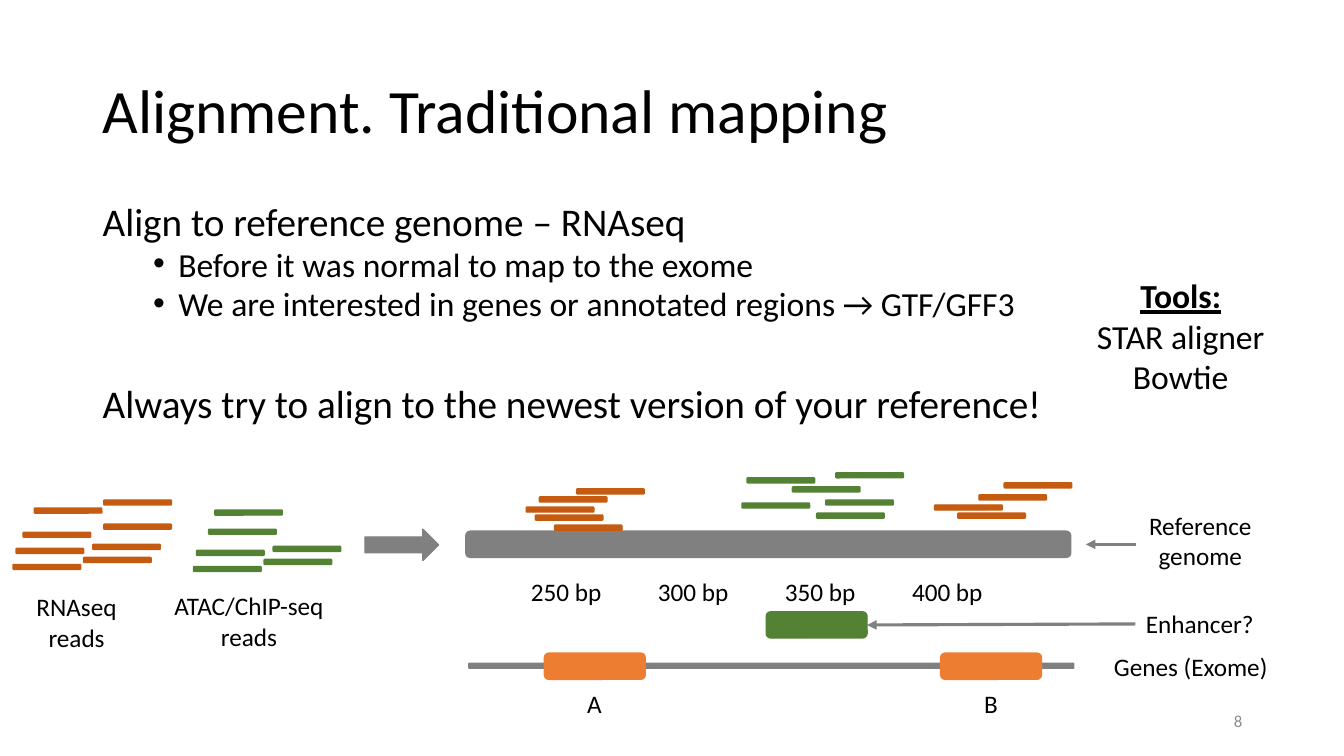
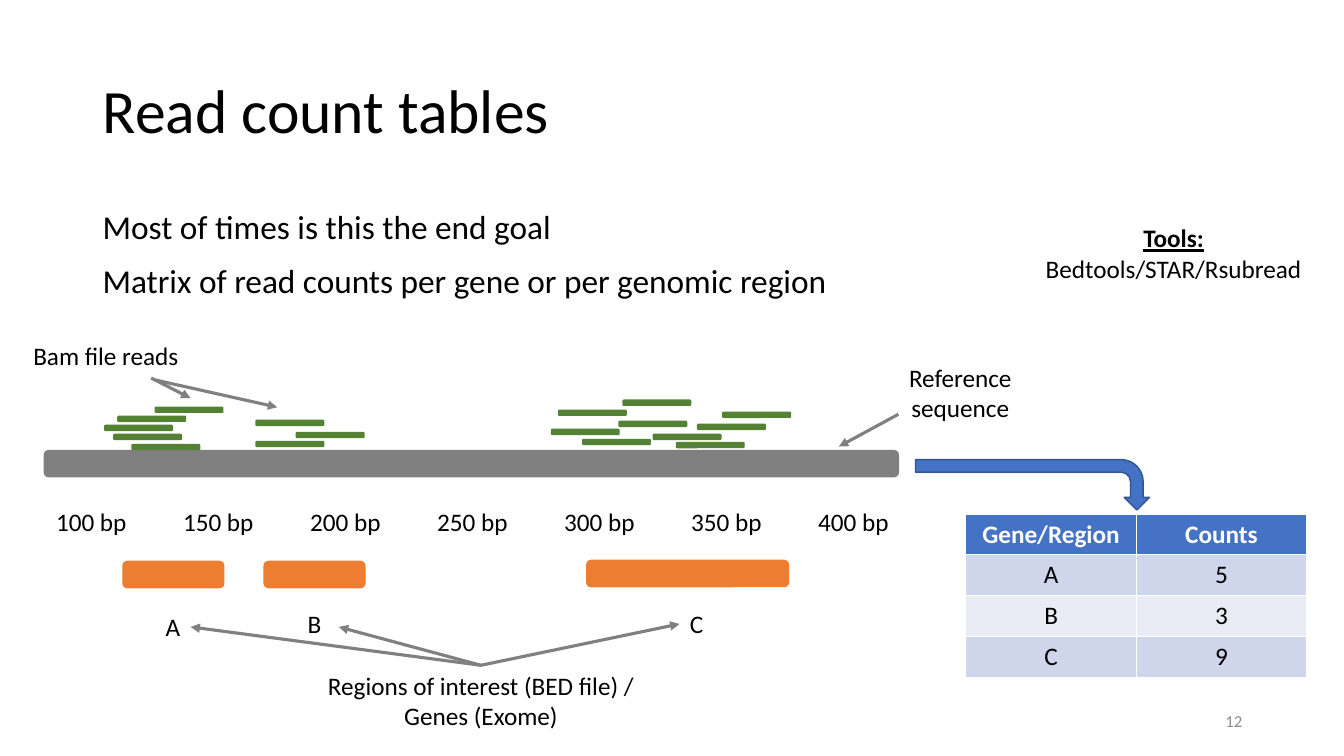
from lxml import etree
from pptx import Presentation
from pptx.dml.color import RGBColor
from pptx.enum.shapes import MSO_CONNECTOR, MSO_SHAPE
from pptx.enum.text import MSO_ANCHOR, MSO_AUTO_SIZE, PP_ALIGN
from pptx.oxml.ns import qn
from pptx.util import Inches, Pt

BLACK = RGBColor(0x00, 0x00, 0x00)
WHITE = RGBColor(0xFF, 0xFF, 0xFF)
GRAY = RGBColor(0x80, 0x80, 0x80)
PAGE_GRAY = RGBColor(0x8C, 0x8C, 0x8C)
RUST = RGBColor(0xC5, 0x5A, 0x11)
GREEN = RGBColor(0x54, 0x82, 0x35)
ORANGE = RGBColor(0xED, 0x7D, 0x31)
BLUE = RGBColor(0x44, 0x72, 0xC4)
DARK_BLUE = RGBColor(0x32, 0x54, 0x91)
BAND_DARK = RGBColor(0xCF, 0xD5, 0xEA)
BAND_LIGHT = RGBColor(0xE9, 0xEB, 0xF5)

FONT = "Calibri"
READ_WIDTH, READ_HEIGHT = 0.67, 0.05
BLOCK_HEIGHT = 0.26
TICK_STEP = 1.26
LABEL_HEIGHT, TWO_LINE_HEIGHT = 0.4, 0.71
TOP, LEFT, BOTTOM, RIGHT = range(4)


def add_text(page, area, text, size=18, color=BLACK, align=PP_ALIGN.CENTER,
             anchor=MSO_ANCHOR.TOP, wrap=False):
    """Add a text box; each line of the text becomes a paragraph."""
    box = page.shapes.add_textbox(*map(Inches, area))
    frame = box.text_frame
    frame.text = text
    frame.word_wrap = wrap
    frame.auto_size = MSO_AUTO_SIZE.NONE if wrap else MSO_AUTO_SIZE.SHAPE_TO_FIT_TEXT
    frame.vertical_anchor = anchor
    for para in frame.paragraphs:
        para.alignment = align
        for span in para.runs:
            span.font.name = FONT
            span.font.size = Pt(size)
            span.font.color.rgb = color
    return box


def add_block(page, area, fill, line=None, kind=MSO_SHAPE.ROUNDED_RECTANGLE):
    block = page.shapes.add_shape(kind, *map(Inches, area))
    block.shadow.inherit = False
    block.fill.solid()
    block.fill.fore_color.rgb = fill
    block.line.color.rgb = line or fill
    block.line.width = Pt(1)
    return block


deck = Presentation()
deck.slide_width, deck.slide_height = Inches(13.33), Inches(7.5)

# Shared frame: title and page number
pages = []
for title, number in (("Alignment. Traditional mapping", "8"), ("Read count tables", "12")):
    page = deck.slides.add_slide(deck.slide_layouts[6])
    heading = add_text(page, (0.92, 0.4, 11.5, 1.45), title, 44, align=PP_ALIGN.LEFT,
                       anchor=MSO_ANCHOR.MIDDLE, wrap=True)
    heading.text_frame.paragraphs[0].line_spacing = 0.9
    add_text(page, (9.42, 6.95, 3, 0.4), number, 12, PAGE_GRAY, PP_ALIGN.RIGHT,
             MSO_ANCHOR.MIDDLE, wrap=True)
    pages.append(page)
mapping, counting = pages

# Body text of the mapping slide
body = add_text(mapping, (0.92, 2, 11.5, 2.45),
                "Align to reference genome – RNAseq\n"
                "Before it was normal to map to the exome\n"
                "We are interested in genes or annotated regions → GTF/GFF3\n"
                "Always try to align to the newest version of your reference!",
                28, align=PP_ALIGN.LEFT, wrap=True)
paragraphs = body.text_frame.paragraphs
for para in paragraphs[1:3]:
    properties = para._p.get_or_add_pPr()
    properties.set("marL", str(Inches(0.75)))
    properties.set("indent", str(Inches(-0.25)))
    etree.SubElement(properties, qn("a:buFont")).set("typeface", "Arial")
    etree.SubElement(properties, qn("a:buChar")).set("char", "•")
    para.space_before = Pt(5)
    para.runs[0].font.size = Pt(24)
for para in paragraphs:
    para.line_spacing = 0.8
paragraphs[3].space_before = Pt(47)

# Body text of the counting slide
body = add_text(counting, (0.92, 2, 11.5, 1.05),
                "Most of times is this the end goal\n"
                "Matrix of read counts per gene or per genomic region",
                23.8, align=PP_ALIGN.LEFT, wrap=True)
body.text_frame.paragraphs[1].space_before = Pt(10)

# Tool lists
for page, area, size, text in (
    (mapping, (10.77, 2.68, 1.88, 1.31), 24, "Tools:\nSTAR aligner\nBowtie"),
    (counting, (10.26, 2.16, 2.76, 0.71), 18, "Tools:\nBedtools/STAR/Rsubread"),
):
    tools = add_text(page, area, text, size)
    tools_font = tools.text_frame.paragraphs[0].runs[0].font
    tools_font.bold = tools_font.underline = True

# Reference, gene and region bars
add_block(mapping, (4.65, 6.58, 6, 0.05), GRAY)
add_block(mapping, (4.62, 5.27, 6, BLOCK_HEIGHT), GRAY)
add_block(counting, (0.44, 4.47, 8.47, BLOCK_HEIGHT), GRAY)
for page, left, top, width in (
    (mapping, 5.4, 6.48, 1), (mapping, 9.33, 6.48, 1),
    (counting, 1.22, 5.57, 1), (counting, 2.62, 5.57, 1), (counting, 5.82, 5.56, 2),
):
    add_block(page, (left, top, width, BLOCK_HEIGHT), ORANGE)
enhancer = add_block(mapping, (7.6, 6.07, 1, BLOCK_HEIGHT), GREEN)

# Reads, as left and top of each
unaligned_rna = ((0.83, 5.53), (0.16, 5.44), (0.13, 5.6), (1.03, 4.96),
                 (0.92, 5.4), (0.23, 5.28), (1.03, 5.2), (0.34, 5.04))
unaligned_atac = ((2.62, 5.55), (1.95, 5.46), (1.92, 5.62),
                  (2.07, 5.25), (2.71, 5.42), (2.13, 5.06))
aligned_rna = ((5.22, 5.03), (5.35, 4.93), (5.31, 5.11), (5.5, 5.21), (5.72, 4.85),
               (9.27, 5.01), (9.96, 4.79), (9.71, 4.91), (9.5, 5.09))
aligned_atac = ((8.1, 5.09), (7.36, 4.99), (7.41, 4.74),
                (7.86, 4.83), (8.19, 4.96), (8.29, 4.69))
counted = ((1.04, 4.22), (1.17, 4.13), (1.13, 4.31), (1.31, 4.41), (1.54, 4.04),
           (2.54, 4.38), (2.94, 4.29), (2.54, 4.17),
           (5.78, 4.36), (6.48, 4.31), (6.18, 3.97), (5.54, 4.07), (7.17, 4.09),
           (5.47, 4.26), (6.14, 4.18), (6.92, 4.21), (6.71, 4.39))
for page, color, reads in (
    (mapping, RUST, unaligned_rna + aligned_rna),
    (mapping, GREEN, unaligned_atac + aligned_atac),
    (counting, GREEN, counted),
):
    for left, top in reads:
        add_block(page, (left, top, READ_WIDTH, READ_HEIGHT), color)

# Position scales
for page, left, top, first, last in ((mapping, 5.16, 5.67, 250, 400),
                                     (counting, 0.45, 4.97, 100, 400)):
    for index, position in enumerate(range(first, last + 1, 50)):
        add_text(page, (left + index * TICK_STEP, top, 0.91, LABEL_HEIGHT), f"{position} bp")

# Labels
mapping_labels, counting_labels = {}, {}
for page, labels, entries in (
    (mapping, mapping_labels, (
        (0.23, 5.82, 1.06, "RNAseq\nreads"),
        (1.62, 5.81, 1.7, "ATAC/ChIP-seq\nreads"),
        (11.29, 5.01, 1.23, "Reference\ngenome"),
        (10.94, 6.41, 1.74, "Genes (Exome)"),
        (11.26, 5.99, 1.28, "Enhancer?"),
        (5.72, 6.78, 0.35, "A"),
        (9.66, 6.78, 0.34, "B"),
    )),
    (counting, counting_labels, (
        (8.91, 3.54, 1.23, "Reference\nsequence"),
        (3.13, 6.6, 3.28, "Regions of interest (BED file) /\nGenes (Exome)"),
        (0.22, 3.33, 1.66, "Bam file reads"),
        (1.54, 6.02, 0.35, "A"),
        (2.95, 5.99, 0.34, "B"),
        (6.74, 5.99, 0.34, "C"),
    )),
):
    for left, top, width, text in entries:
        first_line, *more_lines = text.split("\n")
        height = TWO_LINE_HEIGHT if more_lines else LABEL_HEIGHT
        labels[first_line] = add_text(page, (left, top, width, height), text)

# Thin arrows: page, start, end, joined start, joined end
regions = (counting_labels["Regions of interest (BED file) /"], TOP)
for page, start, end, source, target in (
    (mapping, (11.27, 5.4), (10.77, 5.4), None, None),
    (mapping, (11.26, 6.19), (8.6, 6.2), (mapping_labels["Enhancer?"], LEFT), (enhancer, RIGHT)),
    (counting, (1.54, 3.77), (2.75, 4.04), None, None),
    (counting, (1.5, 3.75), (1.89, 3.95), None, None),
    (counting, (8.91, 4.11), (8.32, 4.43), None, None),
    (counting, (4.77, 6.6), (1.89, 6.22), regions, (counting_labels["A"], RIGHT)),
    (counting, (4.77, 6.6), (3.36, 6.22), regions, None),
    (counting, (4.77, 6.6), (6.74, 6.19), regions, (counting_labels["C"], LEFT)),
):
    arrow = page.shapes.add_connector(MSO_CONNECTOR.STRAIGHT, *map(Inches, start + end))
    if source:
        arrow.begin_connect(*source)
    if target:
        arrow.end_connect(*target)
    arrow.line.color.rgb = GRAY
    arrow.line.width = Pt(2.25)
    etree.SubElement(arrow.line._get_or_add_ln(), qn("a:tailEnd")).set("type", "triangle")
    etree.SubElement(arrow._element.spPr, qn("a:effectLst"))

# Block arrows
add_block(mapping, (3.62, 5.25, 0.73, 0.31), GRAY, kind=MSO_SHAPE.RIGHT_ARROW)
to_table = add_block(counting, (9.99, 3.65, 0.5, 2.32), BLUE, DARK_BLUE, MSO_SHAPE.BENT_ARROW)
to_table.rotation = 90

# Count table
rows = (("Gene/Region", "Counts"), ("A", "5"), ("B", "3"), ("C", "9"))
fills = (BLUE, BAND_DARK, BAND_LIGHT, BAND_DARK)
table = counting.shapes.add_table(len(rows), 2, *map(Inches, (9.58, 5.1, 3.38, 1.62))).table
for row_index, (values, fill) in enumerate(zip(rows, fills)):
    for column_index, value in enumerate(values):
        cell = table.cell(row_index, column_index)
        cell.fill.solid()
        cell.fill.fore_color.rgb = fill
        cell.text_frame.text = value
        para = cell.text_frame.paragraphs[0]
        para.alignment = PP_ALIGN.CENTER
        font = para.runs[0].font
        font.name, font.size = FONT, Pt(18)
        font.bold = row_index == 0
        font.color.rgb = BLACK if row_index else WHITE

deck.save("out.pptx")
